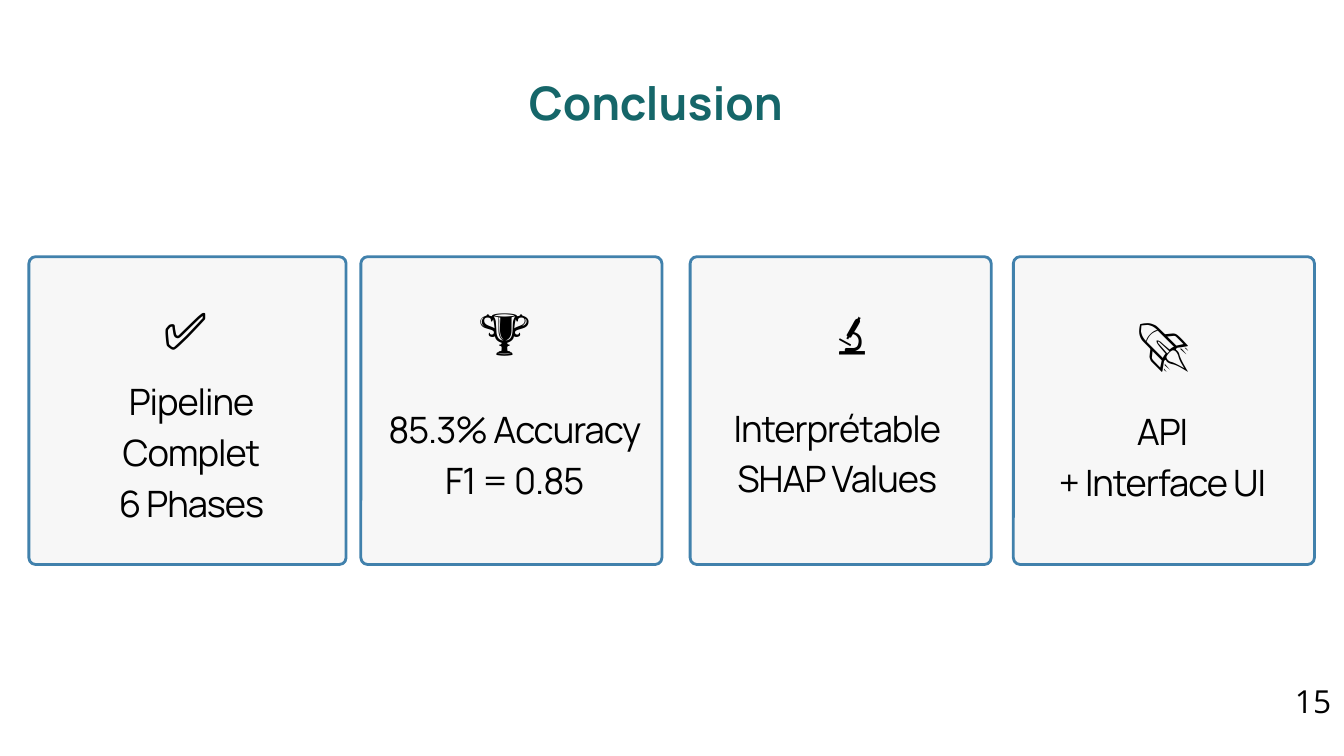
from dataclasses import dataclass

from pptx import Presentation
from pptx.dml.color import RGBColor
from pptx.enum.shapes import MSO_SHAPE as Shape
from pptx.enum.text import PP_ALIGN as Align
from pptx.slide import Slide
from pptx.util import Inches, Pt

# The page is a grid of 20 columns by 11.25 rows
COLUMNS, ROWS = 20, 11.25
CELL = Inches(1)

TEAL, BLUE, PALE, BLACK = "156669", "4181AC", "F7F7F7", "000000"
CARD_TOP, CARD_HEIGHT, CORNER = 3.82, 4.58, 0.1
CAPTION_SIZE, CAPTION_LEADING, CAPTION_TRACKING = 38.9, 54.5, -1.1


@dataclass(frozen=True)
class Area:
    column: float
    row: float
    width: float
    height: float

    def lengths(self) -> list[int]:
        return [round(part * CELL) for part in (self.column, self.row, self.width, self.height)]


@dataclass(frozen=True)
class Style:
    size: float
    leading: float
    tracking: float = 0
    font: str = "Manrope"
    color: str = BLACK
    bold: bool = False


@dataclass(frozen=True)
class Card:
    column: float
    width: float
    icon: str
    icon_area: Area
    icon_style: Style
    lines: tuple[str, ...]
    caption_area: Area


CARDS = (
    Card(0.43, 4.72, "✅", Area(0.4, 4.29, 4.72, 1.08), Style(54.9, 76.8, -1.6),
         ("Pipeline", "Complet", "6 Phases"), Area(-0.34, 5.54, 6.38, 2.27)),
    Card(5.37, 4.48, "🏆", Area(5.27, 4.26, 4.48, 1.21), Style(60.9, 85.2, -1.8),
         ("85.3% Accuracy", "F1 = 0.85"), Area(5.55, 5.95, 4.22, 1.52)),
    Card(10.27, 4.48, "🔬", Area(10.44, 4.3, 4.48, 1.13), Style(56.9, 79.7, -1.6),
         ("Interprétable", "SHAP Values"), Area(10.22, 5.93, 4.48, 1.52)),
    Card(15.08, 4.48, "🚀", Area(15.08, 4.44, 4.48, 1.15), Style(57.9, 81, -1.7),
         ("API", "+ Interface UI"), Area(15.06, 5.98, 4.48, 1.52)),
)


def rgb(color: str) -> RGBColor:
    return RGBColor.from_string(color)


def add_text(page: Slide, area: Area, lines: tuple[str, ...], style: Style) -> None:
    """Add centred lines of text in a box without margins."""
    frame = page.shapes.add_textbox(*area.lengths()).text_frame
    frame.word_wrap = True
    frame.margin_left = frame.margin_right = frame.margin_top = frame.margin_bottom = 0
    for index, line in enumerate(lines):
        para = frame.add_paragraph() if index else frame.paragraphs[0]
        para.alignment = Align.CENTER
        para.line_spacing = Pt(style.leading)
        para.font.name = style.font
        para.font.size = Pt(style.size)
        para.font.bold = style.bold
        para.font.color.rgb = rgb(style.color)
        span = para.add_run()
        span.text = line
        if style.tracking:
            span.font._element.set("spc", str(round(style.tracking * 100)))


def add_panel(page: Slide, area: Area) -> None:
    """Add the rounded, outlined background of a card."""
    panel = page.shapes.add_shape(Shape.ROUNDED_RECTANGLE, *area.lengths())
    panel.shadow.inherit = False
    panel.adjustments[0] = CORNER / min(area.width, area.height)
    panel.fill.solid()
    panel.fill.fore_color.rgb = rgb(PALE)
    panel.line.color.rgb = rgb(BLUE)
    panel.line.width = Pt(3)


def add_card(page: Slide, card: Card) -> None:
    add_panel(page, Area(card.column, CARD_TOP, card.width, CARD_HEIGHT))
    add_text(page, card.caption_area, card.lines,
             Style(CAPTION_SIZE, CAPTION_LEADING, CAPTION_TRACKING))
    add_text(page, card.icon_area, (card.icon,), card.icon_style)


def main() -> None:
    deck = Presentation()
    deck.slide_width, deck.slide_height = round(COLUMNS * CELL), round(ROWS * CELL)
    page = deck.slides.add_slide(deck.slide_layouts[6])

    # Title
    add_text(page, Area(6.68, 0.97, 6.16, 0.92), ("Conclusion",),
             Style(49.5, 69.3, color=TEAL, bold=True))

    # Four result cards
    for card in CARDS:
        add_card(page, card)

    # Page number
    add_text(page, Area(19.27, 10.05, 0.54, 0.63), ("15",), Style(34, 47.6, font="Open Sans"))

    deck.save("out.pptx")


if __name__ == "__main__":
    main()
